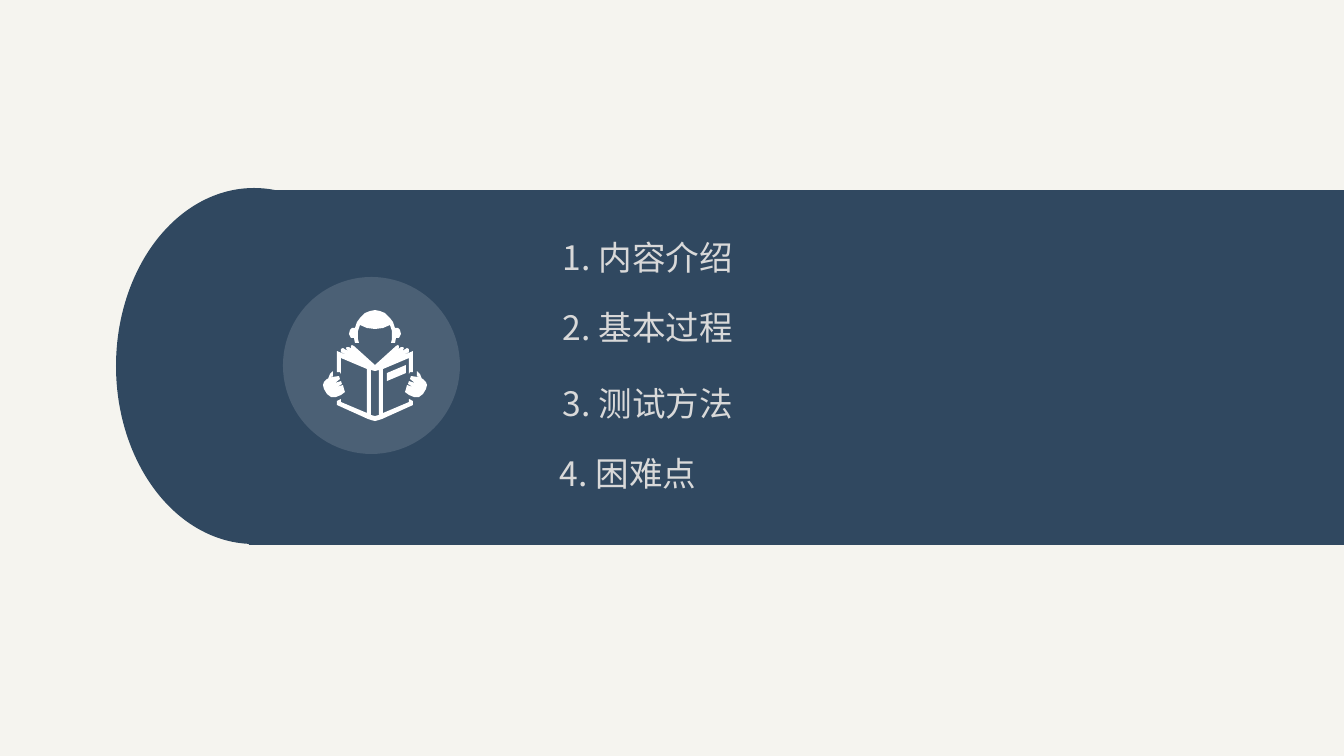
import pptx
import pptx.dml.color
import pptx.enum.shapes
import pptx.enum.text
import pptx.oxml
import pptx.util
from pptx.oxml.ns import qn

SCALE = 914400 / 100.8  # EMU per pixel
NAVY, SLATE, WHITE, PAPER, SILVER = "304860", "4B6075", "FFFFFF", "F5F4EF", "D9D9D9"
SHAPES = pptx.enum.shapes.MSO_SHAPE


def emu(pixels):
    return pptx.util.Emu(round(pixels * SCALE))


def color(code):
    return pptx.dml.color.RGBColor.from_string(code)


def mirror(points):
    return [(-x, y) for x, y in reversed(points)]


class Painter:
    font = "Noto Sans CJK SC"
    size = 24

    def __init__(self, page):
        self.page = page

    def background(self, fill):
        self.page.background.fill.solid()
        self.page.background.fill.fore_color.rgb = color(fill)

    def finish(self, shape, fill):
        shape.shadow.inherit = False
        shape.fill.solid()
        shape.fill.fore_color.rgb = color(fill)
        shape.line.fill.background()

    def shape(self, kind, left, top, width, height, fill):
        shape = self.page.shapes.add_shape(
            kind, emu(left), emu(top), emu(width), emu(height))
        self.finish(shape, fill)

    def outline(self, contours, left, top, fill):
        """Draw closed contours, given relative to (left, top), as one shape."""
        start = contours[0][0]
        builder = self.page.shapes.build_freeform(*start, scale=SCALE)
        for index, contour in enumerate(contours):
            if index:
                builder.move_to(*contour[0])
            builder.add_line_segments(contour[1:], close=True)
        self.finish(builder.convert_to_shape(emu(left), emu(top)), fill)

    def text(self, words, left, top, width, height, fill):
        box = self.page.shapes.add_textbox(
            emu(left), emu(top), emu(width), emu(height))
        frame = box.text_frame
        frame.word_wrap = True
        frame.auto_size = pptx.enum.text.MSO_AUTO_SIZE.SHAPE_TO_FIT_TEXT
        frame.margin_left = frame.margin_right = 0
        frame.margin_top = frame.margin_bottom = 0
        para = frame.paragraphs[0]
        para.text = words
        para.font.name = self.font
        para.font.size = pptx.util.Pt(self.size)
        para.font.color.rgb = color(fill)
        # East Asian text takes its own font entry
        latin = para._p.pPr.find(qn("a:defRPr")).find(qn("a:latin"))
        east = pptx.oxml.parse_xml(
            '<a:ea xmlns:a="http://schemas.openxmlformats.org/drawingml/2006/main"'
            f' typeface="{self.font}"/>')
        latin.addnext(east)


deck = pptx.Presentation()
deck.slide_width, deck.slide_height = emu(1344), emu(756)
painter = Painter(deck.slides.add_slide(deck.slide_layouts[6]))
painter.background(PAPER)

# Band with a rounded left end
painter.shape(SHAPES.OVAL, 116, 188, 276, 356, NAVY)
painter.shape(SHAPES.RECTANGLE, 249, 190, 1095, 355, NAVY)

# Reader icon: right halves, measured from its axis and top
painter.shape(SHAPES.OVAL, 283, 277, 177, 177, SLATE)
head = [(0, 0), (5, 1), (10, 3), (15, 8), (18, 12), (20, 18), (23, 18), (25, 20),
        (26, 24), (24, 28), (21, 28), (20, 33), (16, 33), (17, 29), (17, 21),
        (15, 15), (8, 18), (0, 19)]
book = [(0, 55), (21, 36), (23, 35), (24, 36), (24, 38), (21, 41), (26, 37), (28, 37),
        (29, 38), (28, 40), (24, 43), (32, 38), (34, 39), (34, 42), (24, 47), (38, 41),
        (38, 62), (35, 62), (34, 64), (34, 48), (8, 59), (8, 103), (34, 92), (34, 89),
        (36, 90), (38, 91), (38, 95), (7, 109), (4, 110), (0, 111)]
spine = [(0, 61), (4, 60), (4, 105), (0, 106)]
label = [(12, 63), (31, 55), (31, 63), (12, 71)]
hand = [(36, 66), (35, 69), (40, 73), (34, 71), (33, 74), (38, 77), (32, 75), (31, 79),
        (36, 81), (31, 79), (30, 82), (34, 85), (39, 87), (44, 87), (48, 84), (51, 79),
        (52, 75), (51, 72), (48, 69), (43, 67)]
thumb = [(47, 69), (44, 67), (42, 66), (42, 61), (45, 64)]
symmetric = [half + mirror(half)[1:-1] for half in (head, book, spine)]
pairs = [side for part in (hand, thumb) for side in (part, mirror(part))]
painter.outline(symmetric + pairs + [label], 375, 310, WHITE)

# Contents list
topics = [("内容介绍", 563, 237, 379), ("基本过程", 563, 307, 237),
          ("测试方法", 563, 383, 224), ("困难点", 560, 453, 224)]
for number, (topic, left, top, width) in enumerate(topics, 1):
    painter.text(f"{number}. {topic}", left, top, width, 40, SILVER)

deck.save("out.pptx")
